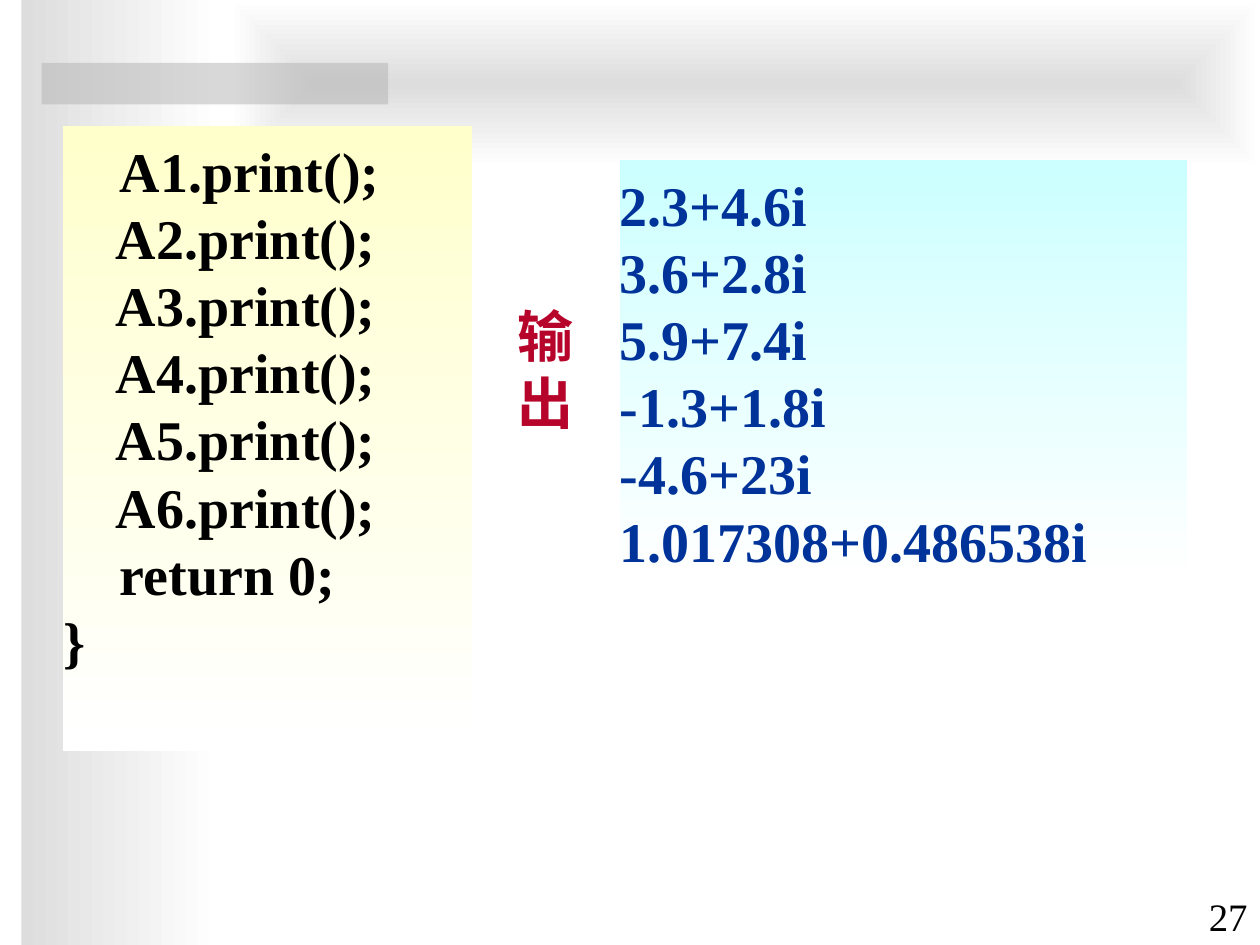
from pptx import Presentation
from pptx.dml.color import RGBColor as Rgb
from pptx.enum.shapes import MSO_SHAPE as Shape
from pptx.enum.text import MSO_ANCHOR as Anchor, PP_ALIGN as Align
from pptx.oxml import parse_xml
from pptx.oxml.ns import nsdecls, qn
from pptx.util import Inches, Pt

HUES = {
    "grey": "DDDDDD", "bar": "B2B2B2", "white": "FFFFFF",
    "cream": "FFFFCC", "aqua": "CCFFFF",
    "black": "000000", "red": "B6042A", "blue": "003399",
}
FONT = "Times New Roman"
CODE = [("A1.print();", 0.45)]
CODE += [(f"A{n}.print();", 0.42) for n in range(2, 7)]
CODE += [("return 0;", 0.45), ("}", 0)]
RESULT = ["2.3+4.6i", "3.6+2.8i", "5.9+7.4i", "-1.3+1.8i", "-4.6+23i",
          "1.017308+0.486538i"]
BODY = {"size": Pt(32), "bold": True, "name": FONT}
NUMBER = {"size": Pt(22.2), "bold": False, "name": FONT}
PANELS = [
    ((0.5, 1, 3.25, 4.96), "cream", "black", CODE),
    ((4.92, 1.27, 4.5, 3.36), "aqua", "blue", [(line, 0) for line in RESULT]),
]


def color(name):
    return Rgb.from_string(HUES[name])


def add_box(slide, place):
    box = slide.shapes.add_shape(Shape.RECTANGLE, *map(Inches, place))
    box.shadow.inherit = False
    box.line.fill.background()
    return box


def fade(box, hue, angle=0):
    box.fill.gradient()
    box.fill.gradient_angle = angle
    for stop, name in zip(box.fill.gradient_stops, (hue, "white")):
        stop.color.rgb = color(name)


def fade_out(box, hue):
    fade(box, hue)
    line = box._element.spPr.find(".//" + qn("a:lin"))
    line.getparent().replace(line, parse_xml(
        f'<a:path {nsdecls("a")} path="rect">'
        '<a:fillToRect l="50000" t="50000" r="50000" b="50000"/></a:path>'))


def write(box, lines, hue, font, align, space, anchor, pad):
    frame = box.text_frame
    frame.word_wrap = True
    frame.vertical_anchor = anchor
    for side, size in zip(("left", "top", "right", "bottom"), pad * 2):
        setattr(frame, "margin_" + side, Inches(size))
    for i, (text, dent) in enumerate(lines):
        para = frame.add_paragraph() if i else frame.paragraphs[0]
        para.alignment = align
        para.line_spacing = space
        para._p.get_or_add_pPr().set("marL", str(Inches(dent)))
        run = para.add_run()
        run.text = text
        for key, value in font.items():
            setattr(run.font, key, value)
        run.font.color.rgb = color(hue)


def main():
    deck = Presentation()
    deck.slide_width, deck.slide_height = Inches(10), Inches(7.5)
    slide = deck.slides.add_slide(deck.slide_layouts[6])

    fade(add_box(slide, (0.17, 0, 1.58, 7.5)), "grey")
    fade_out(add_box(slide, (1.83, 0, 8.17, 1.33)), "grey")
    bar = add_box(slide, (0.33, 0.5, 2.75, 0.33))
    bar.fill.solid()
    bar.fill.fore_color.rgb = color("bar")
    tint = bar._element.spPr.find(".//" + qn("a:srgbClr"))
    tint.append(parse_xml(f'<a:alpha {nsdecls("a")} val="50000"/>'))

    page = slide.shapes.add_textbox(*map(Inches, (9, 7.01, 1, 0.5)))
    write(page, [("27", 0)], "black", NUMBER, Align.RIGHT, 0.9,
          Anchor.BOTTOM, (0.1, 0.05))
    for place, back, ink, lines in PANELS:
        panel = add_box(slide, place)
        fade(panel, back, 270)
        write(panel, lines, ink, BODY, Align.LEFT, Pt(38.4),
              Anchor.TOP, (0, 0.08))
    label = slide.shapes.add_textbox(*map(Inches, (4.08, 2.25, 0.5, 1.35)))
    write(label, [("输", 0), ("出", 0)], "red", BODY, Align.CENTER, Pt(38.4),
          Anchor.MIDDLE, (0, 0))
    deck.save("out.pptx")


if __name__ == "__main__":
    main()
